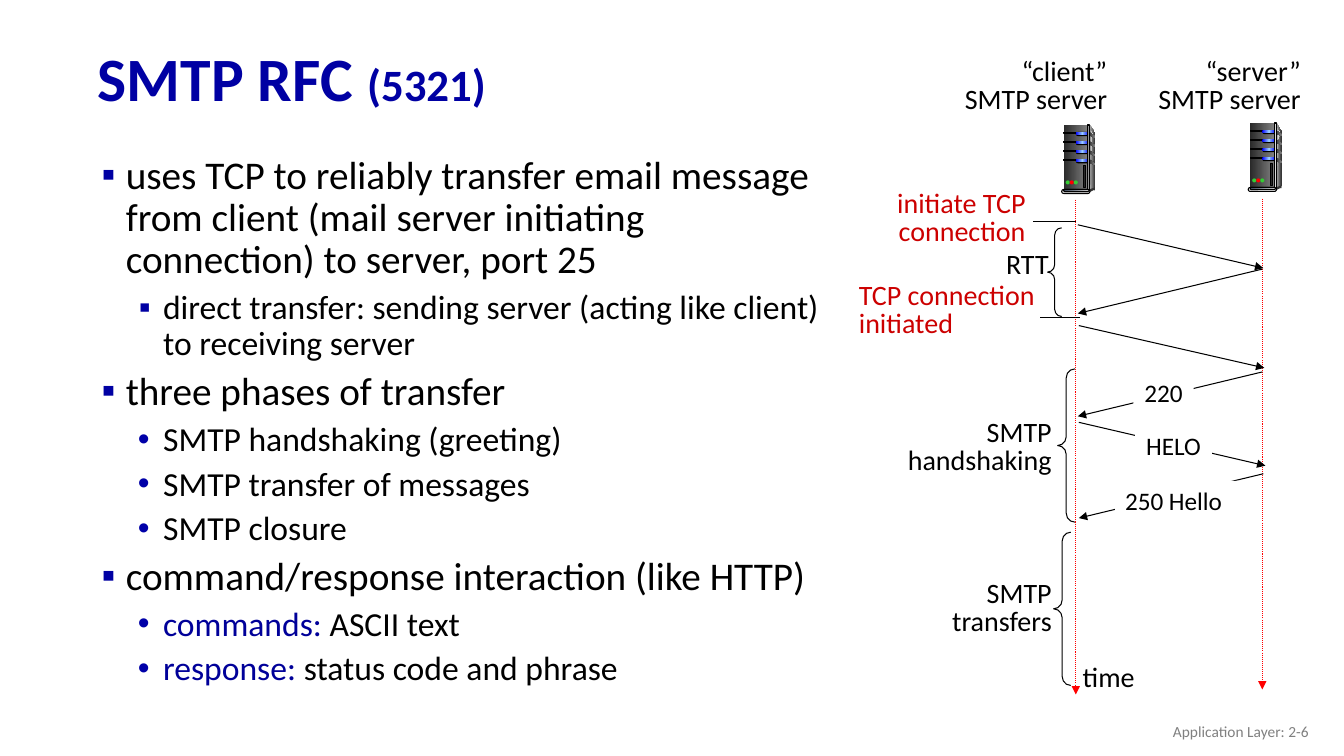
from lxml.etree import SubElement
from pptx import Presentation
from pptx.dml.color import RGBColor
from pptx.enum.dml import MSO_LINE as DASH
from pptx.enum.shapes import MSO_CONNECTOR as CONNECTOR, MSO_SHAPE as SHAPE
from pptx.enum.text import MSO_ANCHOR as ANCHOR, PP_ALIGN as ALIGN
from pptx.oxml.ns import qn
from pptx.util import Pt

PX = 9144  # 100 px to the inch
BLACK, WHITE, RED, NAVY = "000000", "FFFFFF", "CC0000", "0000A3"
DARK, GREY, SILVER = "292929", "808080", "DDDDDD"
rgb = RGBColor.from_string


def write(para, text, size=20, color=BLACK, bold=False, align=ALIGN.LEFT, spacing=0.85):
    para.alignment, para.line_spacing = align, spacing
    span = para.add_run()
    span.text = text
    span.font.name, span.font.size, span.font.bold = "Calibri", Pt(size), bold
    span.font.color.rgb = rgb(color)


def paint(shape, colors=(), line=False):
    """No colour leaves the shape open, one fills it, more make a gradient."""
    shape.shadow.inherit = False
    if not colors:
        shape.fill.background()
    elif len(colors) == 1:
        shape.fill.solid()
        shape.fill.fore_color.rgb = rgb(colors[0])
    else:
        shape.fill.gradient()
        shape.fill.gradient_angle = 0
        stops = shape._element.spPr.find(".//" + qn("a:gsLst"))
        stops.clear()
        for number, color in enumerate(colors):
            position = 100000 * number // (len(colors) - 1)
            stop = SubElement(stops, qn("a:gs"), pos=str(position))
            SubElement(stop, qn("a:srgbClr"), val=color)
    if line:
        shape.line.color.rgb = rgb(BLACK)
        shape.line.width = Pt(0.75)
    else:
        shape.line.fill.background()


deck = Presentation()
deck.slide_width, deck.slide_height = 1333 * PX, 750 * PX
page = deck.slides.add_slide(deck.slide_layouts[6])
shapes = page.shapes

# Title
title = shapes.add_textbox(87 * PX, 32 * PX, 1150 * PX, 98 * PX).text_frame
title.word_wrap = True
title.vertical_anchor = ANCHOR.MIDDLE
for text, size in (("SMTP RFC ", 44), ("(5321)", 32)):
    write(title.paragraphs[0], text, size, NAVY, bold=True, spacing=0.9)

# Bullet list: level, bullet, blue lead, text
points = [
    (0, "▪", "", "uses TCP to reliably transfer email message from client "
                 "(mail server initiating connection) to server, port 25"),
    (1, "▪", "", "direct transfer: sending server (acting like client) to receiving server"),
    (0, "▪", "", "three phases of transfer"),
    (1, "•", "", "SMTP handshaking (greeting)"),
    (1, "•", "", "SMTP transfer of messages"),
    (1, "•", "", "SMTP closure"),
    (0, "▪", "", "command/response interaction (like HTTP)"),
    (1, "•", "commands:", " ASCII text"),
    (1, "•", "response:", " status code and phrase"),
]
body = shapes.add_textbox(76 * PX, 149 * PX, 753 * PX, 508 * PX).text_frame
body.word_wrap = True
for number, (level, bullet, lead, text) in enumerate(points):
    para = body.add_paragraph() if number else body.paragraphs[0]
    para.level = level
    para.space_before = Pt(6)
    size = (28, 24)[level]
    if lead:
        write(para, lead, size, "000099", spacing=0.9)
    write(para, text, size, spacing=0.9)
    layout = para._p.get_or_add_pPr()
    layout.set("marL", str((39, 76)[level] * PX))
    layout.set("indent", str((-25 if bullet == "•" else -24) * PX))
    bullet_color = SubElement(layout, qn("a:buClr"))
    SubElement(bullet_color, qn("a:srgbClr"), val="0000A8" if bullet == "•" else NAVY)
    SubElement(layout, qn("a:buFont"), typeface="Arial")
    SubElement(layout, qn("a:buChar"), char=bullet)

# Time axes, messages and ticks: ends, colour, arrowhead
timelines = [(1067, 198, 1067, 689), (1252, 197, 1252, 684)]
messages = [
    (1069, 223, 1253, 266), (1252, 267, 1069, 311), (1070, 323, 1254, 365),
    (1252, 369, 1069, 413), (1070, 419, 1255, 462), (1253, 470, 1070, 514),
]
ticks = [(1025, 220, 1067, 220), (1032, 315, 1071, 315)]
for ends in timelines + messages + ticks:
    link = shapes.add_connector(CONNECTOR.STRAIGHT, *(PX * end for end in ends))
    link.line.width = Pt(0.75)
    link.line.color.rgb = rgb("FF0000" if ends in timelines else BLACK)
    if ends in timelines:
        link.line.dash_style = DASH.ROUND_DOT
    if ends not in ticks:
        SubElement(link.line._get_or_add_ln(), qn("a:tailEnd"), type="triangle")
    SubElement(link._element.spPr, qn("a:effectLst"))

# Braces
for at in ((1039, 226, 14, 88), (1049, 366, 17, 152), (1045, 528, 17, 152)):
    brace = shapes.add_shape(SHAPE.LEFT_BRACE, *(PX * length for length in at))
    brace.adjustments[0] = 0.52
    paint(brace, line=True)

# Server towers: outlines behind, then preset parts, relative to the tower corner
ROWS = [7, 16, 25, 34]
LED = ["0000FF", "99CCFF", "0000FF"]
outlines = [
    ([(28, 0), (33, 8), (33, 62), (26, 65)], [SILVER, "333333"]),
    ([(28, 4), (31, 9), (29, 30), (28, 63)], [GREY, "F8F8F8"]),
    ([(27, 64), (27, 67), (33, 64), (33, 62)], ["333333"]),
]
outlines += [([(27, y), (33, y + 4), (33, y + 6), (27, y + 3)], [DARK, GREY]) for y in ROWS]
parts = [(SHAPE.RECTANGLE, (2, 0, 24, 65), [DARK, GREY], False)]
for y in ROWS:
    parts += [
        (SHAPE.RECTANGLE, (2, y, 14, 1), [BLACK], True),
        (SHAPE.ROUNDED_RECTANGLE, (14, y, 14, 4), [BLACK], False),
        (SHAPE.ROUNDED_RECTANGLE, (14, y, 13, 3), LED, False),
    ]
parts += [
    (SHAPE.RECTANGLE, (26, 0, 2, 65), ["333333", SILVER, "333333"], True),
    (SHAPE.OVAL, (32, 62, 1, 3), ["333333"], False),
    (SHAPE.ROUNDED_RECTANGLE, (0, 64, 28, 4), [SILVER], True),
    (SHAPE.ROUNDED_RECTANGLE, (2, 64, 25, 2), ["44546A", "E7E6E6"], True),
    (SHAPE.RECTANGLE, (22, 40, 2, 22), [DARK], True),
]
for x, color in ((4, "33CC33"), (8, "FF0000"), (12, "33CC33")):
    parts.append((SHAPE.OVAL, (x, 55, 4, 4), [color], False))

for left, top in ((1238, 122), (1053, 124)):
    for points, colors in outlines:
        corners = [(left + x, top + y) for x, y in points]
        builder = shapes.build_freeform(*corners[0], scale=PX)
        builder.add_line_segments(corners[1:], close=True)
        paint(builder.convert_to_shape(), colors)
    for kind, (x, y, width, height), colors, line in parts:
        part = shapes.add_shape(
            kind, (left + x) * PX, (top + y) * PX, width * PX, height * PX)
        if kind == SHAPE.ROUNDED_RECTANGLE:
            part.adjustments[0] = 0.5
        paint(part, colors, line)

# Labels: place, text, format, fill
right = {"align": ALIGN.RIGHT}
reply = {"size": 18, "spacing": 1.0}
labels = [
    ((939, 53, 169, 68), "“client”\nSMTP server", right, []),
    ((1131, 53, 169, 68), "“server”\nSMTP server", right, []),
    ((878, 184, 149, 68), "initiate TCP\nconnection", {"color": RED, **right}, []),
    ((988, 245, 70, 39), "RTT", {}, []),
    ((842, 275, 240, 68), "TCP connection\ninitiated", {"color": RED}, []),
    ((871, 411, 182, 68), "SMTP\nhandshaking", right, []),
    ((871, 571, 182, 68), "SMTP\ntransfers", right, []),
    ((1064, 654, 80, 39), "time", {}, []),
    ((1124, 369, 60, 40), "220", {"align": ALIGN.CENTER, **reply}, [WHITE]),
    ((1106, 477, 123, 40), "250 Hello", reply, [WHITE]),
    ((1126, 422, 76, 40), "HELO", {"align": ALIGN.CENTER, **reply}, [WHITE]),
    ((1008, 711, 300, 28), "Application Layer: 2-6",
     {"size": 11, "color": GREY, "spacing": 1.0, **right}, []),
]
for at, text, style, fill in labels:
    box = shapes.add_textbox(*(PX * length for length in at))
    paint(box, fill)
    frame = box.text_frame
    frame.word_wrap = True
    for number, line in enumerate(text.split("\n")):
        para = frame.add_paragraph() if number else frame.paragraphs[0]
        write(para, line, **style)

deck.save("out.pptx")
